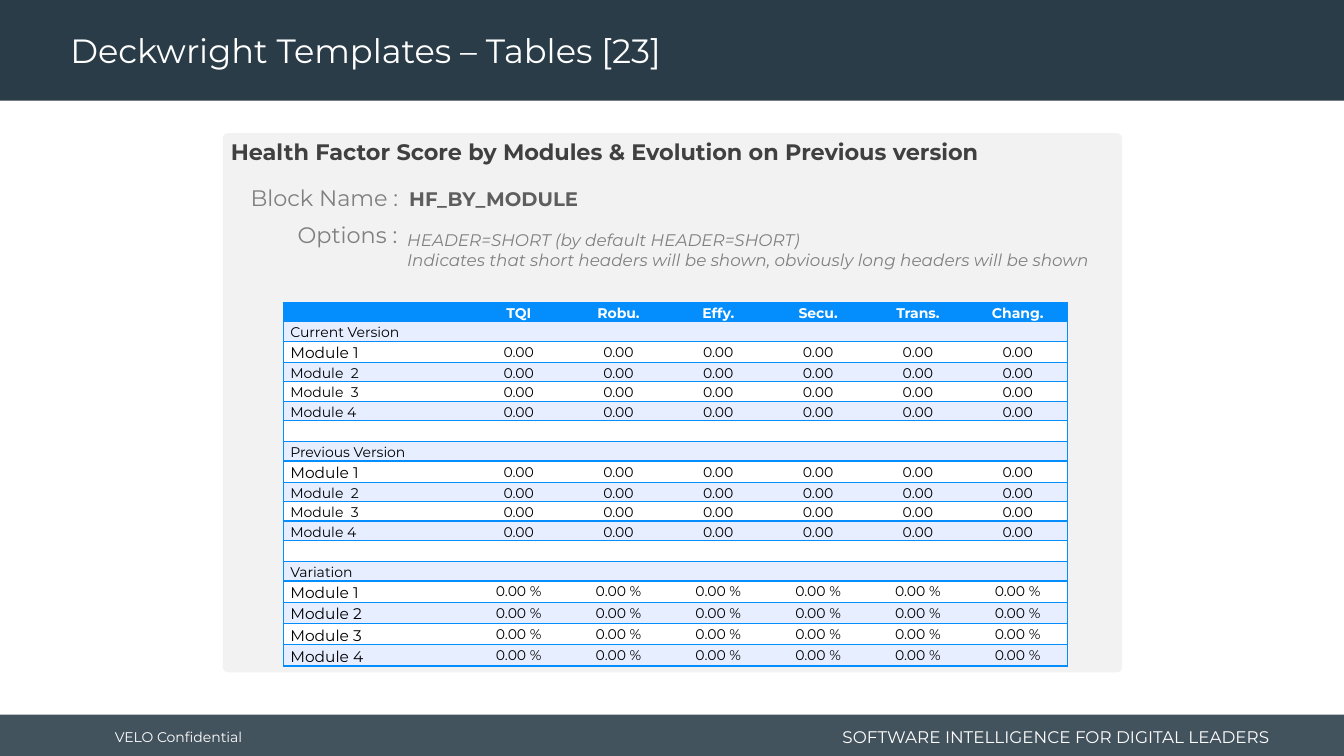
from dataclasses import dataclass

from lxml.etree import SubElement
from pptx import Presentation
from pptx.dml.color import RGBColor
from pptx.enum.shapes import MSO_SHAPE
from pptx.enum.text import MSO_ANCHOR, PP_ALIGN
from pptx.oxml import parse_xml
from pptx.oxml.ns import nsdecls, qn
from pptx.util import Inches, Pt


@dataclass(frozen=True)
class Theme:
    font: str = "Montserrat"
    navy: str = "293C47"
    white: str = "FFFFFF"
    black: str = "000000"
    panel: str = "F2F2F2"
    heading: str = "404040"
    block: str = "5E5E5E"
    label: str = "808080"
    blue: str = "048EFD"
    stripe: str = "E7EEFF"
    title_size: int = 24
    heading_size: int = 16
    block_size: int = 14
    body_size: int = 12
    module_size: int = 11
    cell_size: int = 10


THEME = Theme()

TITLE = "Deckwright Templates – Tables [23]"
CONFIDENTIAL = "VELO Confidential"
SLOGAN = "SOFTWARE INTELLIGENCE FOR DIGITAL LEADERS"
HEADING = "Health Factor Score by Modules & Evolution on Previous version"
BLOCK_LABEL, BLOCK_NAME = "Block Name :", "HF_BY_MODULE"
OPTIONS_LABEL = "Options :"
OPTIONS = [
    "HEADER=SHORT (by default HEADER=SHORT)",
    "Indicates that short headers will be shown, obviously long headers will be shown",
]
FACTORS = ["TQI", "Robu.", "Effy.", "Secu.", "Trans.", "Chang."]
VERSION_MODULES = [("Module 1", 11), ("Module  2", 10), ("Module  3", 10), ("Module 4", 10)]
VARIATION_MODULES = [(f"Module {number}", 11) for number in range(1, 5)]
SECTIONS = [
    ("Current Version", VERSION_MODULES, "0.00"),
    ("Previous Version", VERSION_MODULES, "0.00"),
    ("Variation", VARIATION_MODULES, "0.00 %"),
]
TABLE_LEFT, TABLE_TOP = 2.81, 3
MODULE_WIDTH, FACTOR_WIDTH = 1.84, 0.99
ROW_HEIGHT, GAP_HEIGHT = 0.19, 0.21
NO_STYLE = "{2D5ABB26-0587-4C30-8999-92F81FD0307C}"


def write(frame, text, size, color, bold=False, italic=False, align=PP_ALIGN.LEFT, spacing=None):
    lines = [text] if isinstance(text, str) else text
    for index, line in enumerate(lines):
        paragraph = frame.add_paragraph() if index else frame.paragraphs[0]
        paragraph.alignment = align
        if spacing:
            paragraph.line_spacing = spacing
        if not line:
            SubElement(paragraph._p, qn("a:endParaRPr"), sz=str(size * 100))
            continue
        run = paragraph.add_run()
        run.text = line
        font = run.font
        font.name, font.size = THEME.font, Pt(size)
        font.bold, font.italic = bold, italic
        font.color.rgb = RGBColor.from_string(color)


def add_text(slide, box, text, wrap=True, inset=0.1, anchor=MSO_ANCHOR.TOP, **style):
    frame = slide.shapes.add_textbox(*map(Inches, box)).text_frame
    frame.word_wrap = wrap
    frame.vertical_anchor = anchor
    frame.margin_left = frame.margin_right = Inches(inset)
    write(frame, text, **style)


def add_block(slide, box, color, kind=MSO_SHAPE.RECTANGLE):
    block = slide.shapes.add_shape(kind, *map(Inches, box))
    block.shadow.inherit = False
    block.fill.solid()
    block.fill.fore_color.rgb = RGBColor.from_string(color)
    block.line.fill.background()
    return block


def add_borders(cell, sides):
    properties = cell._tc.get_or_add_tcPr()
    for index, side in enumerate(sides):
        properties.insert(index, parse_xml(
            f'<a:ln{side} {nsdecls("a")} w="12700"><a:solidFill>'
            f'<a:srgbClr val="{THEME.blue}"/></a:solidFill></a:ln{side}>'))


def table_rows():
    blanks = [""] * len(FACTORS)
    rows = [("", THEME.cell_size, FACTORS)]
    for index, (section, modules, score) in enumerate(SECTIONS):
        if index:
            rows.append(("", THEME.cell_size, blanks))
        rows.append((section, THEME.cell_size, blanks))
        rows += [(module, size, [score] * len(FACTORS)) for module, size in modules]
    return rows


def add_scores(slide):
    rows = table_rows()
    widths = [MODULE_WIDTH] + [FACTOR_WIDTH] * len(FACTORS)
    scores = slide.shapes.add_table(
        len(rows), len(widths), Inches(TABLE_LEFT), Inches(TABLE_TOP),
        Inches(sum(widths)), Inches(ROW_HEIGHT * len(rows))).table
    scores._tbl.tblPr.find(qn("a:tableStyleId")).text = NO_STYLE
    scores.horz_banding = False
    for column, width in zip(scores.columns, widths):
        column.width = Inches(width)
    for r, (label, label_size, values) in enumerate(rows):
        is_gap = not label and r > 0
        scores.rows[r].height = Inches(GAP_HEIGHT if is_gap else ROW_HEIGHT)
        fill = THEME.blue if r == 0 else THEME.stripe if r % 2 else THEME.white
        for c, text in enumerate([label, *values]):
            cell = scores.cell(r, c)
            cell.margin_left = cell.margin_right = Inches(0.07)
            cell.margin_top = cell.margin_bottom = 0
            cell.fill.solid()
            cell.fill.fore_color.rgb = RGBColor.from_string(fill)
            sides = ["L"] if c == 0 else ["R"] if c == len(FACTORS) else []
            add_borders(cell, sides + ["T", "B"])
            write(cell.text_frame, text,
                  size=THEME.cell_size if c else label_size,
                  color=THEME.black if r else THEME.white, bold=r == 0,
                  align=PP_ALIGN.CENTER if c else PP_ALIGN.LEFT, spacing=1.15)


def main():
    deck = Presentation()
    deck.slide_width, deck.slide_height = Inches(13.33), Inches(7.5)
    slide = deck.slides.add_slide(deck.slide_layouts[6])

    footer = add_block(slide, (0, 7.09, 13.33, 0.44), THEME.navy)
    footer_color = footer._element.spPr.find(qn("a:solidFill"))[0]
    SubElement(footer_color, qn("a:alpha"), val="88000")
    add_block(slide, (0, 0, 13.33, 1), THEME.navy)
    add_text(slide, (1.04, 7.11, 1.48, 0.4), CONFIDENTIAL, wrap=False,
             anchor=MSO_ANCHOR.MIDDLE, size=THEME.cell_size, color=THEME.white)
    add_text(slide, (8.11, 7.15, 4.58, 0.32), SLOGAN, anchor=MSO_ANCHOR.MIDDLE,
             size=THEME.body_size, color=THEME.white, align=PP_ALIGN.RIGHT)
    add_text(slide, (0.6, 0.04, 9.58, 0.96), TITLE, anchor=MSO_ANCHOR.MIDDLE,
             size=THEME.title_size, color=THEME.white, spacing=0.9)

    panel = add_block(slide, (2.21, 1.32, 8.92, 5.35), THEME.panel, MSO_SHAPE.ROUNDED_RECTANGLE)
    panel.adjustments[0] = 0.01
    add_text(slide, (2.09, 1.32, 9.3, 0.37), HEADING, inset=0.2,
             size=THEME.heading_size, color=THEME.heading, bold=True)
    add_text(slide, (3.96, 1.81, 7.25, 0.34), BLOCK_NAME,
             size=THEME.block_size, color=THEME.block, bold=True)
    add_text(slide, (3.94, 2.23, 7.32, 0.5), OPTIONS,
             size=THEME.body_size, color=THEME.label, italic=True)
    for box, label in [((2.38, 1.78, 1.67, 0.37), BLOCK_LABEL),
                       ((2.83, 2.14, 1.21, 0.37), OPTIONS_LABEL)]:
        add_text(slide, box, label, wrap=False, size=THEME.heading_size,
                 color=THEME.label, align=PP_ALIGN.RIGHT)
    add_scores(slide)
    deck.save("out.pptx")


if __name__ == "__main__":
    main()
